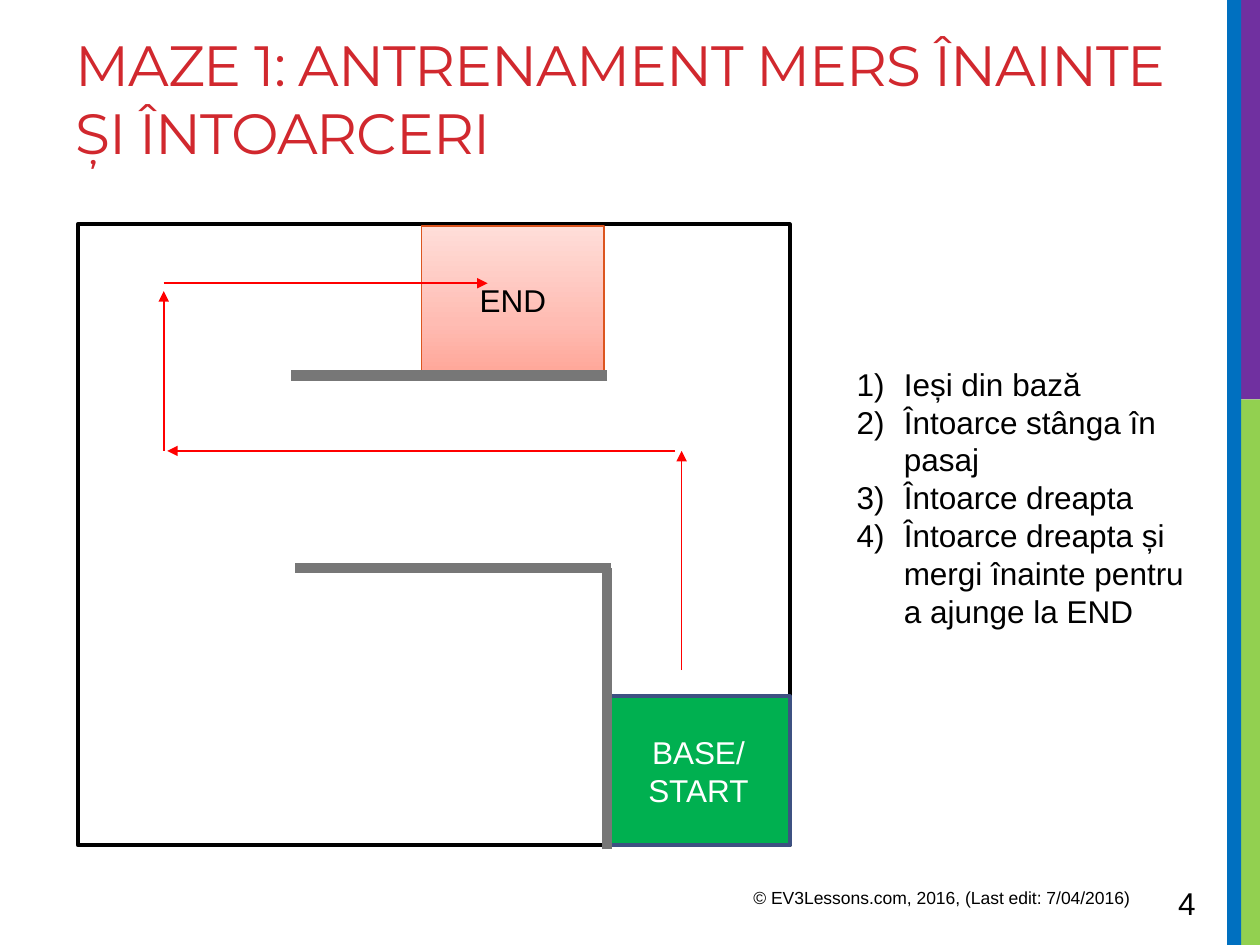
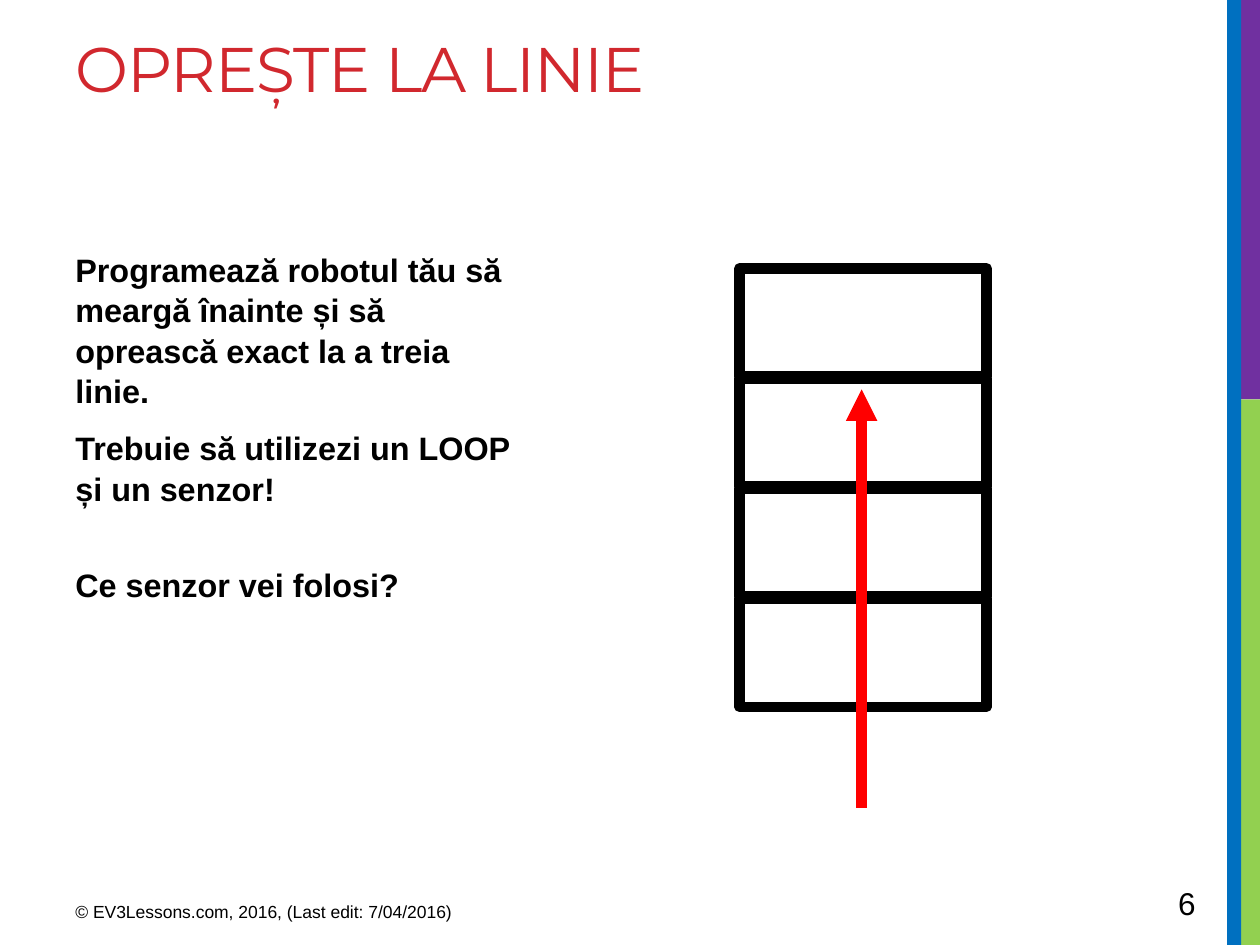
from copy import deepcopy

from pptx import Presentation
from pptx.dml.color import RGBColor
from pptx.enum.shapes import MSO_CONNECTOR, MSO_SHAPE
from pptx.enum.text import MSO_ANCHOR, PP_ALIGN
from pptx.oxml.ns import qn
from pptx.oxml.xmlchemy import OxmlElement
from pptx.util import Cm, Pt

SLIDE_W, SLIDE_H = 25.4, 19.05
BLACK, WHITE, RED, WALL_GREY = "000000", "FFFFFF", "FF0000", "777777"
BLUE, LIME, PURPLE, TITLE_RED = "0070C0", "92D050", "7030A0", "D1282E"
START_GREEN, START_EDGE, END_EDGE = "00B050", "3D5182", "DC551F"
END_STOPS = [(0, "FFA698"), (0.35, "FFBCB3"), (1, "FFDED9")]
COPYRIGHT = "© EV3Lessons.com, 2016, (Last edit: 7/04/2016)"
STEPS = [
    "Ieși din bază",
    "Întoarce stânga în pasaj",
    "Întoarce dreapta",
    "Întoarce dreapta și mergi înainte pentru a ajunge la END",
]
TASKS = [
    ("Programează robotul tău să meargă înainte și să oprească exact la a treia linie.", 0),
    ("Trebuie să utilizezi un LOOP și un senzor!", 3.7),
    ("Ce senzor vei folosi?", 25.8),
]


def color(hex_code):
    return RGBColor.from_string(hex_code)


def cm(*lengths):
    return [Cm(length) for length in lengths]


def add_child(parent, tag, **attributes):
    child = OxmlElement(tag)
    for name, value in attributes.items():
        child.set(name, value)
    parent.append(child)
    return child


def add_run(paragraph, words, size, ink=BLACK, font="Arial", bold=False):
    run = paragraph.add_run()
    run.text = words
    run.font.name = font
    run.font.size = Pt(size)
    run.font.bold = bold
    run.font.color.rgb = color(ink)
    return run


def add_text(slide, box):
    frame = slide.shapes.add_textbox(*cm(*box)).text_frame
    frame.word_wrap = True
    return frame


def add_rect(slide, box, fill=None, edge=None, weight=0):
    rect = slide.shapes.add_shape(MSO_SHAPE.RECTANGLE, *cm(*box))
    rect.shadow.inherit = False
    if fill:
        rect.fill.solid()
        rect.fill.fore_color.rgb = color(fill)
    else:
        rect.fill.background()
    if edge:
        rect.line.color.rgb = color(edge)
        rect.line.width = Pt(weight)
        add_child(rect.line._get_or_add_ln(), "a:round")
    else:
        rect.line.fill.background()
    return rect


def add_label(rect, words, ink):
    frame = rect.text_frame
    frame.word_wrap = True
    frame.vertical_anchor = MSO_ANCHOR.MIDDLE
    frame.paragraphs[0].alignment = PP_ALIGN.CENTER
    add_run(frame.paragraphs[0], words, 18, ink)


def add_line(slide, origin, start, end, ink, weight, arrow=False):
    left, top = origin
    points = cm(left + start[0], top + start[1], left + end[0], top + end[1])
    line = slide.shapes.add_connector(MSO_CONNECTOR.STRAIGHT, *points)
    line.line.color.rgb = color(ink)
    line.line.width = Pt(weight)
    if arrow:
        add_child(line.line._get_or_add_ln(), "a:tailEnd", type="triangle")
    add_child(line._element.spPr, "a:effectLst")


def add_side_bands(slide):
    split = 8.05
    add_rect(slide, (24.99, split, SLIDE_W - 24.99, SLIDE_H - split), LIME)
    add_rect(slide, (24.89, 0, SLIDE_W - 24.89, split), PURPLE)
    add_rect(slide, (24.74, 0, 0.28, SLIDE_H), BLUE)


def start_slide(deck, title, title_size, title_height, footer_at, number):
    slide = deck.slides.add_slide(deck.slide_layouts[6])
    add_side_bands(slide)
    heading = add_text(slide, (1.27, 0.43, 22.91, title_height))
    heading.margin_top = Cm(0.17)
    run = add_run(heading.paragraphs[0], title, title_size, TITLE_RED, "Montserrat")
    run.font._element.set("spc", "-60")
    footer = add_text(slide, (*footer_at, 9.53, 0.79))
    add_run(footer.paragraphs[0], COPYRIGHT, 10)
    page = add_text(slide, (23.5, 17.7, 1.75, 1.02))
    add_run(page.paragraphs[0], number, 18)
    return slide


def add_maze(slide, box):
    left, top, width, height = box
    zone_w, zone_h = 3.68, 3
    add_rect(slide, box, WHITE, BLACK, 2.25)

    start_box = (left + width - zone_w, top + height - zone_h, zone_w, zone_h)
    add_label(add_rect(slide, start_box, START_GREEN, START_EDGE, 2.25), "BASE/ START", WHITE)

    finish = add_rect(slide, (left + 6.93, top + 0.03, zone_w, zone_h), WHITE, END_EDGE, 1)
    finish.fill.gradient()
    finish.fill.gradient_angle = 90
    stop_list = finish._element.spPr.find(".//" + qn("a:gsLst"))
    stop_list.append(deepcopy(stop_list[0]))
    for stop, (position, shade) in zip(finish.fill.gradient_stops, END_STOPS):
        stop.position = position
        stop.color.rgb = color(shade)
    add_label(finish, "END", BLACK)

    walls = [
        ((10.67, 12.6), (10.67, 6.93)),
        ((10.74, 6.93), (4.37, 6.93)),
        ((10.67, 3.05), (4.29, 3.05)),
    ]
    for start, end in walls:
        add_line(slide, (left, top), start, end, WALL_GREY, 6)

    route = [
        ((12.17, 8.99), (12.17, 4.57)),
        ((12.04, 4.57), (1.8, 4.57)),
        ((1.73, 4.57), (1.73, 1.35)),
        ((1.73, 1.19), (8.26, 1.19)),
    ]
    for start, end in route:
        add_line(slide, (left, top), start, end, RED, 1, arrow=True)


def add_steps(slide, box):
    frame = add_rect(slide, box, WHITE).text_frame
    frame.word_wrap = True
    frame.vertical_anchor = MSO_ANCHOR.MIDDLE
    for index, step in enumerate(STEPS):
        paragraph = frame.add_paragraph() if index else frame.paragraphs[0]
        paragraph.alignment = PP_ALIGN.LEFT
        properties = paragraph._p.get_or_add_pPr()
        properties.set("marL", str(Cm(0.95)))
        properties.set("indent", str(-Cm(0.95)))
        number_ink = add_child(properties, "a:buClr")
        add_child(number_ink, "a:srgbClr", val=BLACK)
        add_child(properties, "a:buFont", typeface="Arial")
        add_child(properties, "a:buAutoNum", type="arabicParenR")
        add_run(paragraph, step, 18)


def add_tasks(slide, box):
    frame = add_text(slide, box)
    for index, (task, gap) in enumerate(TASKS):
        paragraph = frame.add_paragraph() if index else frame.paragraphs[0]
        paragraph.line_spacing = 1.04
        paragraph.space_after = Pt(6)
        if gap:
            paragraph.space_before = Pt(gap)
        add_run(paragraph, task, 18.5, bold=True)


def add_line_course(slide, box, cells=4, cell_h=2.18):
    left, top, width, height = box
    pitch = (height - cell_h) / (cells - 1)
    for index in range(cells):
        add_rect(slide, (left, top + index * pitch, width, cell_h), edge=BLACK, weight=6)
    middle = width / 2 - 0.03
    add_line(slide, (left, top), (middle, 10.87), (middle, 2.44), RED, 6, arrow=True)


def main():
    deck = Presentation()
    deck.slide_width, deck.slide_height = cm(SLIDE_W, SLIDE_H)

    maze_slide = start_slide(deck, "MAZE 1: ANTRENAMENT MERS ÎNAINTE ȘI ÎNTOARCERI",
                             32.4, 2.26, (14.94, 17.75), "4")
    add_maze(maze_slide, (1.57, 4.52, 14.35, 12.52))
    add_steps(maze_slide, (17.02, 7.11, 7.37, 5.82))

    line_slide = start_slide(deck, "OPREȘTE LA LINIE", 36, 3.81, (1.27, 18.03), "6")
    add_tasks(line_slide, (1.27, 4.88, 9.53, 6.55))
    add_line_course(line_slide, (14.91, 5.41, 4.98, 8.84))

    deck.save("out.pptx")


if __name__ == "__main__":
    main()
